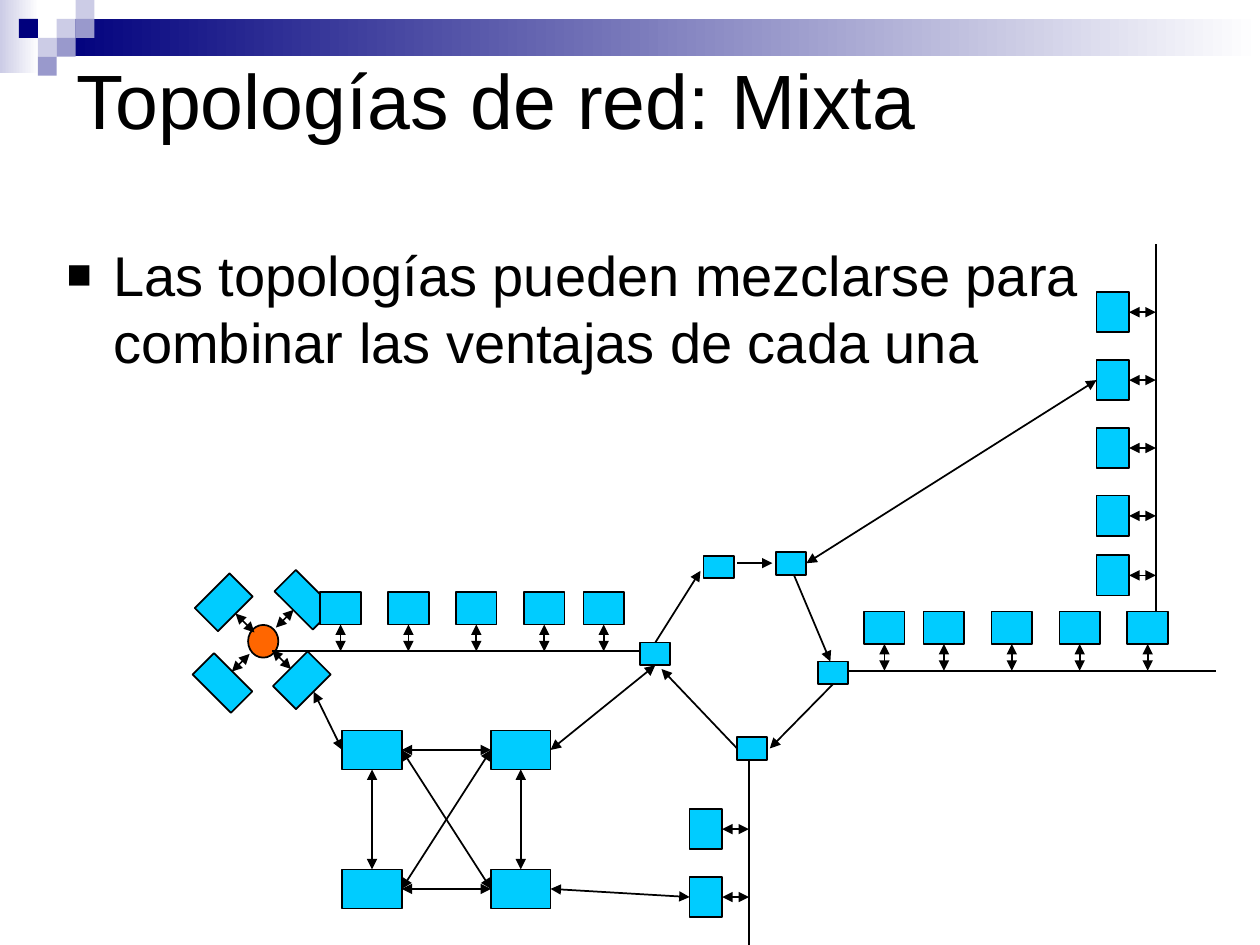
from dataclasses import dataclass
from typing import NamedTuple, Union

from lxml.etree import SubElement
from pptx import Presentation
from pptx.dml.color import RGBColor
from pptx.enum.shapes import MSO_CONNECTOR as Cxn, MSO_SHAPE as Shp
from pptx.enum.text import MSO_ANCHOR as Anchor, MSO_AUTO_SIZE as Auto, PP_ALIGN as Align
from pptx.oxml.ns import qn
from pptx.util import Pt


@dataclass(frozen=True)
class Theme:
    font: str = "Arial"
    title_size: float = 44
    body_size: float = 32
    line_width: float = 1
    ink: str = "000000"
    white: str = "FFFFFF"
    node: str = "00CCFF"
    hub: str = "FF6600"
    navy: str = "00007D"
    mid: str = "9999CC"
    pale: str = "CCCCE6"


class Box(NamedTuple):
    x: float
    y: float
    w: float
    h: float
    angle: float = 0


class Point(NamedTuple):
    x: float
    y: float


class Joint(NamedTuple):
    shape: object
    side: int


@dataclass(frozen=True)
class Bus:
    start: Point
    end: Point
    centres: list  # node centres along the bus

    @property
    def horizontal(self) -> bool:
        return self.start.y == self.end.y


End = Union[Point, Joint]
TOP, LEFT, BOTTOM, RIGHT = range(4)
T = Theme()
NODE_LONG, NODE_SHORT, BUS_GAP = 23.2, 18.6, 15.3
SLOTS = [0, 34, 72.8, 111.6, 150.4]  # node spacing shared by the buses


def rgb(value: str) -> RGBColor:
    return RGBColor.from_string(value)


def add_shape(slide, box: Box, color: str, kind=Shp.RECTANGLE, outlined: bool = True):
    sp = slide.shapes.add_shape(kind, Pt(box.x), Pt(box.y), Pt(box.w), Pt(box.h))
    sp.rotation = box.angle
    sp.shadow.inherit = False
    sp.fill.solid()
    sp.fill.fore_color.rgb = rgb(color)
    if outlined:
        sp.line.color.rgb = rgb(T.ink)
        sp.line.width = Pt(T.line_width)
    else:
        sp.line.fill.background()
    return sp


def add_fade(slide, box: Box, color: str) -> None:
    sp = add_shape(slide, box, color, outlined=False)
    sp.fill.gradient()
    sp.fill.gradient_angle = 0
    for stop, value in zip(sp.fill.gradient_stops, (color, T.white)):
        stop.color.rgb = rgb(value)


def add_link(slide, start: End, end: End, arrows: str = "both") -> None:
    """Draw a line; arrows is 'both', 'end' or 'none'."""
    a, b = (p if isinstance(p, Point) else Point(0, 0) for p in (start, end))
    c = slide.shapes.add_connector(Cxn.STRAIGHT, Pt(a.x), Pt(a.y), Pt(b.x), Pt(b.y))
    if isinstance(start, Joint):
        c.begin_connect(*start)
    if isinstance(end, Joint):
        c.end_connect(*end)
    c.line.color.rgb = rgb(T.ink)
    c.line.width = Pt(T.line_width)
    ln = c.line._get_or_add_ln()
    if arrows == "both":
        SubElement(ln, qn("a:headEnd"), type="triangle")
    if arrows != "none":
        SubElement(ln, qn("a:tailEnd"), type="triangle")
    SubElement(c._element.spPr, qn("a:effectLst"))


def add_bus(slide, bus: Bus) -> list:
    add_link(slide, bus.start, bus.end, "none")
    nodes = []
    for m in bus.centres:
        if bus.horizontal:
            top = bus.start.y - BUS_GAP - NODE_SHORT
            box = Box(m - NODE_LONG / 2, top, NODE_LONG, NODE_SHORT)
            side, foot = BOTTOM, Point(m, bus.start.y)
        else:
            left = bus.start.x - BUS_GAP - NODE_SHORT
            box = Box(left, m - NODE_LONG / 2, NODE_SHORT, NODE_LONG)
            side, foot = RIGHT, Point(bus.start.x, m)
        nodes.append(add_shape(slide, box, T.node))
        add_link(slide, Joint(nodes[-1], side), foot)
    return nodes


def add_text(tf, text: str, size: float) -> None:
    tf.word_wrap = True
    tf.auto_size = Auto.NONE
    p = tf.paragraphs[0]
    p.text = text
    p.alignment = Align.LEFT
    p.space_before = Pt(0)
    font = p.runs[0].font
    font.name, font.size, font.color.rgb = T.font, Pt(size), rgb(T.ink)


def add_decoration(slide) -> None:
    add_fade(slide, Box(0, 0, 22.3, 41.8), T.pale)
    add_fade(slide, Box(32.6, 10.8, 687.4, 21.2), T.navy)
    tile = 10.8
    for col, row, color in ((3, 1, T.pale), (4, 0, T.pale), (4, 1, T.mid), (2, 2, T.pale),
                            (1, 1, T.navy), (3, 2, T.mid), (2, 3, T.mid)):
        add_shape(slide, Box(col * tile, row * tile, tile, tile), color, outlined=False)


def add_texts(slide) -> None:
    title = slide.shapes.title
    title.left, title.top, title.width, title.height = Pt(36.7), Pt(0), Pt(648), Pt(113)
    add_text(title.text_frame, "Topologías de red: Mixta", T.title_size)
    title.text_frame.vertical_anchor = Anchor.MIDDLE

    # Bulleted statement
    body = slide.shapes.add_textbox(Pt(31), Pt(134), Pt(653.8), Pt(368))
    pPr = body.text_frame.paragraphs[0]._p.get_or_add_pPr()
    pPr.set("marL", str(int(Pt(26.6))))
    pPr.set("indent", str(int(Pt(-26.6))))
    SubElement(SubElement(pPr, qn("a:buClr")), qn("a:srgbClr"), val=T.ink)
    SubElement(pPr, qn("a:buSzPct"), val="75000")
    SubElement(pPr, qn("a:buFont"), typeface=T.font)
    SubElement(pPr, qn("a:buChar"), char="■")
    add_text(body.text_frame, "Las topologías pueden mezclarse para combinar "
             "las ventajas de cada una", T.body_size)


def add_star(slide) -> None:
    add_shape(slide, Box(141.8, 357.1, 17.3, 18.7), T.hub, Shp.OVAL)
    for box, start, end in (
        (Box(113.8, 334.8, 28.1, 18.7, 315), Point(134.6, 350.6), Point(145.4, 361.4)),
        (Box(158.4, 334.1, 31, 17.3, 45), Point(167.8, 348.5), Point(157.7, 358.6)),
        (Box(158.4, 379.4, 28.1, 18.7, 135), Point(166.3, 382.3), Point(155.5, 371.5)),
        (Box(111.6, 381.6, 31, 17.3, 225), Point(132.5, 383.8), Point(142.6, 373.7)),
    ):
        add_shape(slide, box, T.node)
        add_link(slide, start, end)


def add_ring(slide) -> tuple:
    corners = ((365.8, 367.2), (402.1, 317.5), (443.5, 315.4), (467.3, 378), (421.2, 421.2))
    west, north, east, right, south = [
        add_shape(slide, Box(x, y, 17.3, 13), T.node) for x, y in corners]
    for start, end in (
        (Joint(west, TOP), Point(400.3, 326.2)),
        (Point(421.2, 321.8), Point(441.4, 321.8)),
        (Point(453.6, 328.4), Point(474.5, 378)),
        (Joint(right, BOTTOM), Point(439.9, 427.7)),
        (Joint(south, LEFT), Point(378, 382.3)),
    ):
        add_link(slide, start, end, "end")
    return west, east


def add_mesh(slide) -> list:
    nw, sw, ne, se = nodes = [add_shape(slide, Box(x, y, 34, 22.3), T.node)
                              for x in (195.6, 280.6) for y in (417.4, 496.8)]
    for upper, lower in ((nw, sw), (ne, se)):
        add_link(slide, Joint(upper, BOTTOM), Joint(lower, TOP))
    for a in (nw, sw):
        for b in (ne, se):
            add_link(slide, Joint(a, RIGHT), Joint(b, LEFT))
    return nodes


def main() -> None:
    prs = Presentation()
    prs.slide_width, prs.slide_height = Pt(720), Pt(540)
    slide = prs.slides.add_slide(prs.slide_layouts[5])
    add_decoration(slide)
    add_texts(slide)

    # Networks, back to front
    add_bus(slide, Bus(Point(484.6, 383.3), Point(694.6, 383.3), [505.4 + s for s in SLOTS]))
    add_star(slide)
    ring_west, ring_east = add_ring(slide)
    add_bus(slide, Bus(Point(365.8, 372.2), Point(155.5, 372.2), [345 - s for s in SLOTS]))
    low = add_bus(slide, Bus(Point(428, 540), Point(428, 434.9), [512.6, 473.8]))
    high = add_bus(slide, Bus(Point(660.5, 349.2), Point(660.5, 139.7),
                              [328.8 - s for s in SLOTS]))
    nw, _, ne, se = add_mesh(slide)

    # Links between networks
    add_link(slide, Joint(se, RIGHT), Joint(low[0], LEFT))
    add_link(slide, Joint(nw, LEFT), Point(179.3, 395.3))
    add_link(slide, Joint(high[3], LEFT), Joint(ring_east, RIGHT))
    add_link(slide, Joint(ne, RIGHT), Joint(ring_west, BOTTOM))
    prs.save("out.pptx")


if __name__ == "__main__":
    main()
